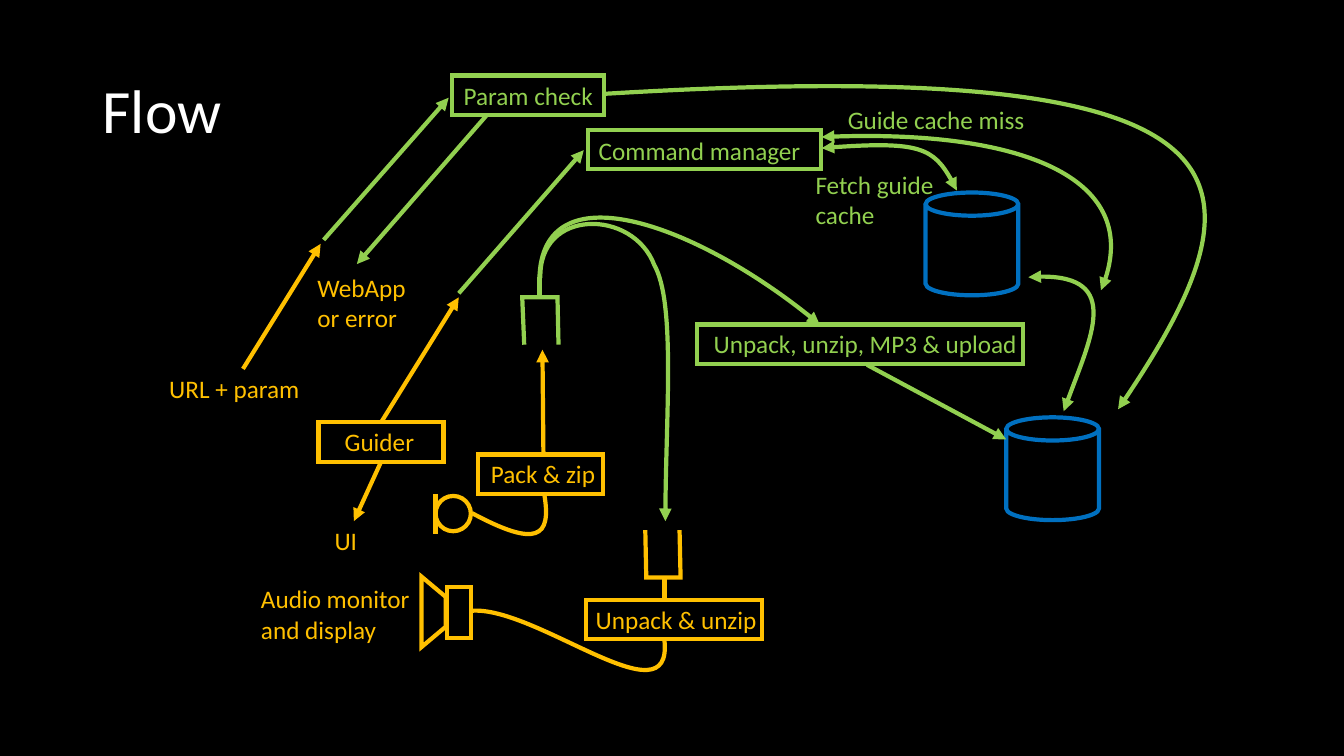
"""Build the Flow slide: guider, audio and cache paths between boxes and stores."""
import pptx
import pptx.dml.color
import pptx.enum.shapes
import pptx.enum.text
import pptx.oxml.ns
import pptx.util
from lxml import etree
from pptx.util import Inches

AMBER, GREEN, BLUE, WHITE = "FFC000", "92D050", "0070C0", "FFFFFF"
SHAPES = pptx.enum.shapes.MSO_SHAPE
STRAIGHT = pptx.enum.shapes.MSO_CONNECTOR.STRAIGHT
AUTO_SIZE = pptx.enum.text.MSO_AUTO_SIZE
qn = pptx.oxml.ns.qn


def rgb(colour):
    return pptx.dml.color.RGBColor.from_string(colour)


def outline(shape, colour, arrows=()):
    if hasattr(shape, "fill"):
        shape.fill.background()
    shape.line.color.rgb = rgb(colour)
    shape.line.width = pptx.util.Pt(3)
    properties = shape._element.spPr
    line = properties.find(qn("a:ln"))
    etree.SubElement(line, qn("a:miter"), lim="800000")
    for end in arrows:
        etree.SubElement(line, qn(f"a:{end}End"), type="triangle")
    etree.SubElement(properties, qn("a:effectLst"))


presentation = pptx.Presentation()
presentation.slide_width = Inches(13.33)
presentation.slide_height = Inches(7.5)
slide = presentation.slides.add_slide(presentation.slide_layouts[6])
slide.background.fill.solid()
slide.background.fill.fore_color.rgb = rgb("000000")

outlines = [
    ("microphone", SHAPES.OVAL, 4.32, 4.92, 0.35, 0.35, AMBER),
    ("speaker body", SHAPES.RECTANGLE, 4.43, 5.82, 0.24, 0.51, AMBER),
    ("speaker cone", SHAPES.TRAPEZOID, 3.95, 5.95, 0.7, 0.24, AMBER),
    ("pack", SHAPES.RECTANGLE, 4.74, 4.51, 1.24, 0.39, AMBER),
    ("upload", SHAPES.RECTANGLE, 6.91, 3.22, 3.24, 0.39, GREEN),
    ("command manager", SHAPES.RECTANGLE, 5.83, 1.29, 2.31, 0.39, GREEN),
    ("guider", SHAPES.RECTANGLE, 3.16, 4.19, 1.24, 0.39, AMBER),
    ("unpack", SHAPES.RECTANGLE, 5.81, 5.95, 1.75, 0.39, AMBER),
    ("param check", SHAPES.RECTANGLE, 4.48, 0.75, 1.51, 0.39, GREEN),
    ("upload store", SHAPES.CAN, 9.98, 4.14, 0.92, 1.02, BLUE),
    ("guide cache", SHAPES.CAN, 9.18, 1.91, 0.92, 1.02, BLUE),
]
boxes = {}
for name, kind, left, top, width, height, colour in outlines:
    shape = slide.shapes.add_shape(kind, Inches(left), Inches(top), Inches(width), Inches(height))
    outline(shape, colour)
    boxes[name] = shape
boxes["speaker cone"].rotation = 90
boxes["speaker cone"].adjustments[0] = 0.839

forks = [
    (AMBER, [(6.4, 5.26), (6.41, 5.73), (6.75, 5.73), (6.74, 5.26)], (6.59, 5.73, 6.59, 5.93)),
    (GREEN, [(5.54, 3.42), (5.53, 2.95), (5.18, 2.95), (5.2, 3.42)], (5.35, 2.95, 5.35, 2.75)),
]
for colour, corners, stem in forks:
    group = slide.shapes.add_group_shape()
    points = [(Inches(x), Inches(y)) for x, y in corners]
    builder = group.shapes.build_freeform(*points[0])
    builder.add_line_segments(points[1:], close=False)
    outline(builder.convert_to_shape(), colour)
    outline(group.shapes.add_connector(STRAIGHT, *map(Inches, stem)), colour)

tail, both = ("tail",), ("head", "tail")
straight_lines = [
    ((4.32, 4.9, 4.32, 5.3), AMBER, (), None),
    ((5.39, 4.51, 5.38, 3.47), AMBER, tail, None),
    ((3.78, 4.19, 4.55, 2.95), AMBER, tail, ("guider", 0)),
    ((3.78, 4.58, 3.51, 5.17), AMBER, tail, ("guider", 2)),
    ((2.41, 3.66, 3.18, 2.42), AMBER, tail, None),
    ((4.55, 2.91, 5.79, 1.49), GREEN, tail, None),
    ((8.6, 3.62, 9.98, 4.36), GREEN, tail, None),
    ((3.21, 2.38, 4.45, 0.97), GREEN, tail, None),
    ((4.83, 1.14, 3.54, 2.62), GREEN, tail, None),
]
for ends, colour, arrows, joint in straight_lines:
    connector = slide.shapes.add_connector(STRAIGHT, *map(Inches, ends))
    if joint:
        connector.begin_connect(boxes[joint[0]], joint[1])
    outline(connector, colour, arrows)

curves = [
    (AMBER, (), [(6.59, 6.35), (6.68, 7.18), (5.31, 6), (4.67, 6.06)]),
    (AMBER, (), [(4.68, 5.09), (5.33, 5.44), (5.47, 5.33), (5.4, 4.91)]),
    (GREEN, tail, [(5.35, 2.77), (5.37, 1.67), (6.96, 2.24), (8.13, 3.22)]),
    (GREEN, tail, [(5.36, 2.76), (5.34, 2.06), (6.28, 2.07), (6.49, 2.63),
                   (6.7, 3), (6.6, 4.18), (6.6, 5.17)]),
    (GREEN, tail, [(6.01, 0.93), (12.48, 0.54), (12.71, 1.7), (11.09, 4.06)]),
    (GREEN, both, [(8.15, 1.47), (9.11, 1.39), (9.3, 1.49), (9.49, 1.89)]),
    (GREEN, both, [(10.2, 2.75), (11.16, 2.67), (10.79, 3.41), (10.55, 4.08)]),
    (GREEN, both, [(8.15, 1.36), (10.06, 1.27), (11.39, 1.79), (10.92, 2.88)]),
]
for colour, arrows, controls in curves:
    points = [(Inches(x), Inches(y)) for x, y in controls]
    samples = []
    for first in range(0, len(points) - 1, 3):
        for step in range(1, 41):
            t = step / 40
            weights = ((1 - t) ** 3, 3 * t * (1 - t) ** 2, 3 * t * t * (1 - t), t ** 3)
            segment = points[first:first + 4]
            samples.append(tuple(
                round(sum(weight * point[axis] for weight, point in zip(weights, segment)))
                for axis in (0, 1)))
    builder = slide.shapes.build_freeform(*points[0])
    builder.add_line_segments(samples, close=False)
    shape = builder.convert_to_shape()
    outline_path = shape._element.spPr.find(".//" + qn("a:path"))
    for line_segment in outline_path.findall(qn("a:lnTo")):
        outline_path.remove(line_segment)
    for index, (x, y) in enumerate(points[1:]):
        if index % 3 == 0:
            bezier = etree.SubElement(outline_path, qn("a:cubicBezTo"))
        etree.SubElement(bezier, qn("a:pt"), x=str(x - shape.left), y=str(y - shape.top))
    outline(shape, colour, arrows)

labels = [
    ("Flow", 0.92, 0.4, 11.5, 1.45, WHITE, True),
    ("Command manager", 5.84, 1.29, 2.23, 0.4, GREEN, False),
    ("Audio monitor\nand display", 2.49, 5.74, 1.69, 0.71, AMBER, False),
    ("Unpack, unzip, MP3 & upload", 6.98, 3.21, 3.24, 0.4, GREEN, False),
    ("Pack & zip", 4.77, 4.5, 1.46, 0.4, AMBER, True),
    ("Guider", 3.32, 4.18, 1.46, 0.4, AMBER, True),
    ("Unpack & unzip", 5.81, 5.95, 1.92, 0.4, AMBER, True),
    ("UI", 3.22, 5.16, 0.43, 0.4, AMBER, False),
    ("URL + param", 1.58, 3.65, 1.51, 0.4, AMBER, False),
    ("Param check", 4.5, 0.75, 1.5, 0.4, GREEN, False),
    ("WebApp\nor error", 3.05, 2.65, 1.09, 0.7, AMBER, True),
    ("Fetch guide\vcache", 7.99, 1.63, 1.39, 0.71, GREEN, False),
    ("Guide cache miss", 8.31, 0.99, 1.98, 0.4, GREEN, False),
]
for text, left, top, width, height, colour, wrap in labels:
    is_title = text == "Flow"
    label = slide.shapes.add_textbox(Inches(left), Inches(top), Inches(width), Inches(height))
    frame = label.text_frame
    frame.text = text
    frame.word_wrap = wrap
    frame.auto_size = AUTO_SIZE.NONE if is_title else AUTO_SIZE.SHAPE_TO_FIT_TEXT
    if is_title:
        frame.vertical_anchor = pptx.enum.text.MSO_ANCHOR.MIDDLE
        frame.paragraphs[0].line_spacing = 0.9
    for paragraph in frame.paragraphs:
        paragraph.font.name = "Calibri"
        paragraph.font.size = pptx.util.Pt(44 if is_title else 18)
        paragraph.font.color.rgb = rgb(colour)

presentation.save("out.pptx")
